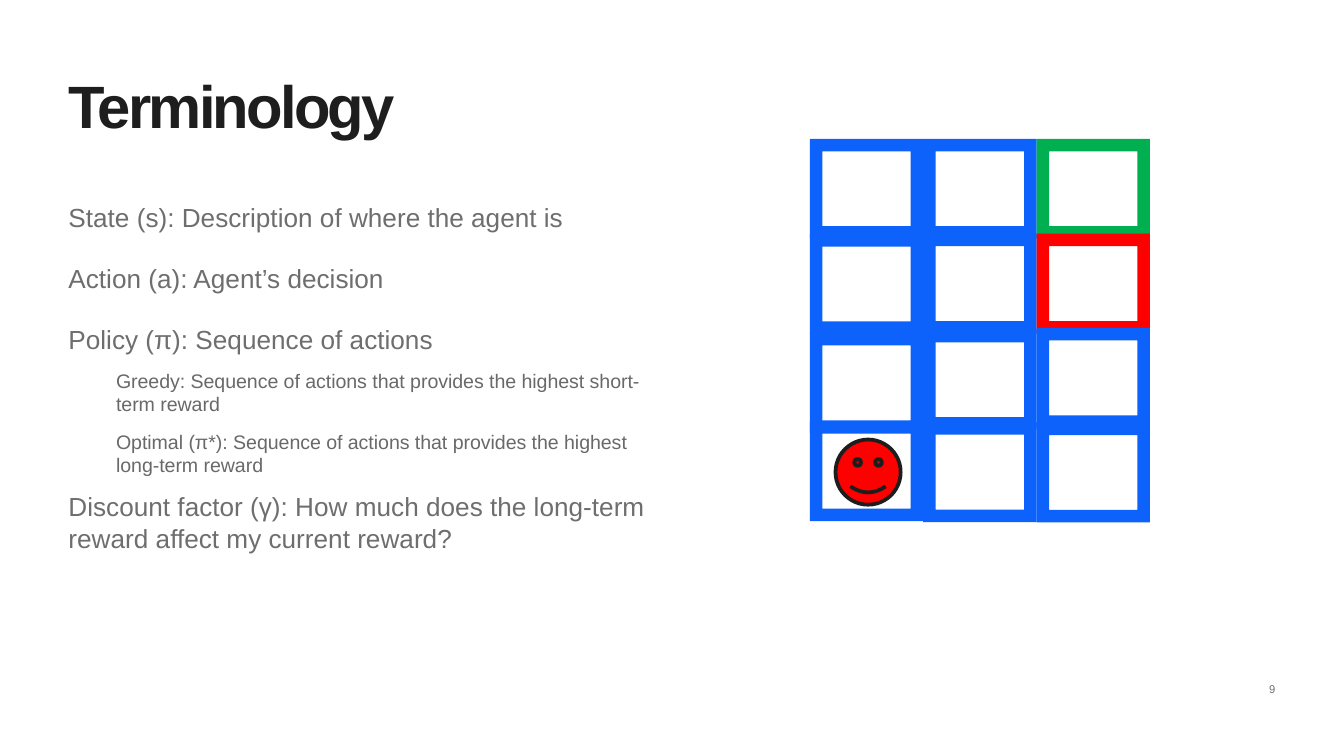
"""Build a slide of reinforcement learning terms beside a grid world."""
from dataclasses import dataclass

from pptx import Presentation
from pptx.dml.color import RGBColor
from pptx.enum.shapes import MSO_SHAPE
from pptx.enum.text import MSO_ANCHOR, MSO_AUTO_SIZE, PP_ALIGN
from pptx.util import Pt

FRAME, SMILEY = MSO_SHAPE.FRAME, MSO_SHAPE.SMILEY_FACE
TOP, BOTTOM = MSO_ANCHOR.TOP, MSO_ANCHOR.BOTTOM
LEFT, RIGHT = PP_ALIGN.LEFT, PP_ALIGN.RIGHT
NO_AUTOFIT = MSO_AUTO_SIZE.NONE


@dataclass(frozen=True)
class Theme:
    font: str = "Arial"
    ink: str = "1E1E1E"
    term: str = "6E6E6E"
    detail: str = "696969"
    outline: str = "1D1D1D"
    state: str = "0C62FB"
    goal: str = "00B050"
    danger: str = "FF0000"
    title_size: float = 32
    term_size: float = 14
    detail_size: float = 10.5
    number_size: float = 6


theme = Theme()


def prepare_frame(shape, anchor):
    frame = shape.text_frame
    frame.margin_left = frame.margin_top = frame.margin_right = frame.margin_bottom = 0
    frame.word_wrap = True
    frame.auto_size = NO_AUTOFIT
    frame.vertical_anchor = anchor
    return frame


def style_paragraph(paragraph, text, size, color, spacing, alignment=LEFT):
    paragraph.text = text
    paragraph.alignment = alignment
    paragraph.line_spacing = spacing
    paragraph.font.name = theme.font
    paragraph.font.size = Pt(size)
    paragraph.font.color.rgb = RGBColor.from_string(color)


presentation = Presentation()
presentation.slide_width, presentation.slide_height = Pt(720), Pt(405)
slide = presentation.slides.add_slide(presentation.slide_layouts[5])

title = slide.shapes.title
title.left, title.top, title.width, title.height = Pt(36.7), Pt(41), Pt(405), Pt(43)
paragraph = prepare_frame(title, TOP).paragraphs[0]
style_paragraph(paragraph, "Terminology", theme.title_size, theme.ink, 0.9)
paragraph.font.bold = True
paragraph.runs[0].font._element.set("spc", "-150")

terms = [
    ("State (s): Description of where the agent is", False, 1.5),
    ("Action (a): Agent’s decision", False, 1.5),
    ("Policy (π): Sequence of actions", False, 1.5),
    ("Greedy: Sequence of actions that provides the highest short-term reward", True, 1),
    ("Optimal (π*): Sequence of actions that provides the highest long-term reward", True, 1),
    ("Discount factor (γ): How much does the long-term reward affect my current reward?", False, 1),
]
body = slide.shapes.add_textbox(Pt(36.7), Pt(99.4), Pt(314.6), Pt(265))
frame = prepare_frame(body, TOP)
for index, (text, is_detail, spacing) in enumerate(terms):
    paragraph = frame.add_paragraph() if index else frame.paragraphs[0]
    if is_detail:
        paragraph.level = 1
        paragraph._p.get_or_add_pPr().set("marL", str(Pt(25.5)))
    size = theme.detail_size if is_detail else theme.term_size
    color = theme.detail if is_detail else theme.term
    style_paragraph(paragraph, text, size, color, spacing)
    paragraph.space_before = Pt(7.5 if index else 0)

number = slide.shapes.add_textbox(Pt(640.8), Pt(359.3), Pt(42.4), Pt(13.7))
paragraph = prepare_frame(number, BOTTOM).paragraphs[0]
style_paragraph(paragraph, "9", theme.number_size, theme.term, 1.5, RIGHT)

grid_left, cell_width, cell_height = 433.9, 60.7, 53.5
row_tops = [
    (74.4, 74.4, 74.4),
    (125.4, 125.2, 125.2),
    (178.4, 176.7, 175.7),
    (225.7, 226.2, 226.4),
]
special_colors = {(0, 2): theme.goal, (1, 2): theme.danger}
grid = slide.shapes.add_group_shape()
for row, tops in enumerate(row_tops):
    for column, top in enumerate(tops):
        left = grid_left + column * cell_width
        cell = grid.shapes.add_shape(FRAME, Pt(left), Pt(top), Pt(cell_width), Pt(cell_height))
        cell.shadow.inherit = False
        cell.fill.solid()
        color = special_colors.get((row, column), theme.state)
        cell.fill.fore_color.rgb = RGBColor.from_string(color)
        cell.line.fill.background()

agent = grid.shapes.add_shape(SMILEY, Pt(447.6), Pt(235.5), Pt(34.9), Pt(34.9))
agent.shadow.inherit = False
agent.fill.solid()
agent.fill.fore_color.rgb = RGBColor.from_string(theme.danger)
agent.line.color.rgb = RGBColor.from_string(theme.outline)
agent.line.width = Pt(2)

presentation.save("out.pptx")
